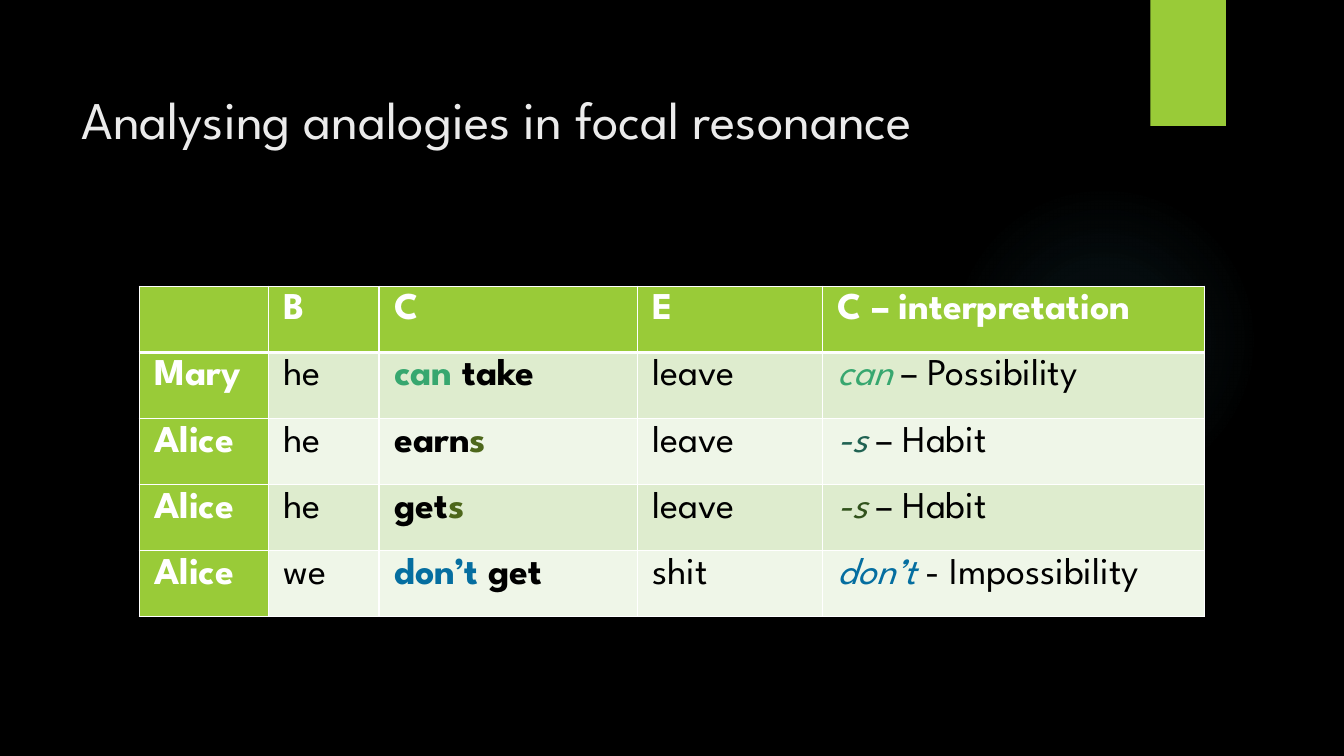
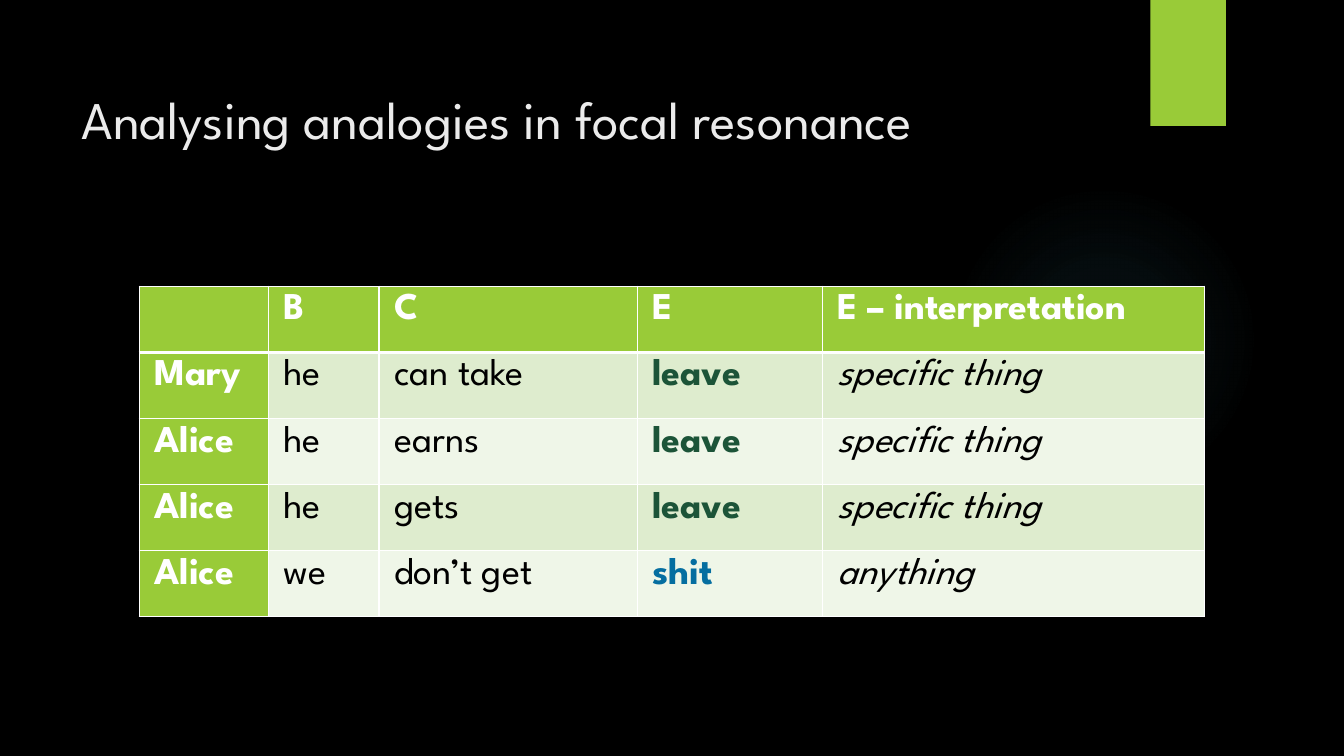
import lxml.etree
import pptx
import pptx.dml.color
import pptx.enum.shapes
import pptx.enum.text
import pptx.oxml
import pptx.oxml.ns
import pptx.util

Inches = pptx.util.Inches
FONT = "League Spartan"
COLORS = {
    "background": "000000",
    "title": "EBEBEB",
    "accent": "99CB38",
    "glow": "4EB3CF",
    "white": "FFFFFF",
    "black": "000000",
    "odd_row": "DEECCE",
    "even_row": "EFF6E8",
    "can": "37A76F",
    "verb_ending": "4D671B",
    "earns_habit": "206252",
    "gets_habit": "31521C",
    "negation": "056EA0",
    "leave": "1C5438",
}
TITLE = "Analysing analogies in focal resonance"
TITLE_BOX = (0.71, 0.69, 10.12, 1.11)
GLOW_BOX = (9.41, 1.83, 3.08, 3.08)
TAB_BOX = (11.41, 0, 0.75, 1.25)
TABLE_BOX = (1.38, 2.84, 10.57, 3.28)
COLUMN_WIDTHS = (1.28, 1.1, 2.56, 1.84, 3.79)
GLOW_STOPS = ((0, 7), (36, 6), (69, 0))
SPEAKERS = ("Mary", "Alice", "Alice", "Alice")
SUBJECTS = ("he", "he", "he", "we")


def bold(text, color="black"):
    """Describe a bold run."""
    return text, {"bold": True, "color": color}


def italic(text, color="black"):
    """Describe an italic run."""
    return text, {"italic": True, "color": color}


def plain(text):
    """Describe a regular run."""
    return text, {}


VERB_SLIDE = {
    "focus": "C",
    "verbs": (
        [bold("can", "can"), bold(" take")],
        [bold("earn"), bold("s", "verb_ending")],
        [bold("get"), bold("s", "verb_ending")],
        [bold("don’t", "negation"), bold(" get")],
    ),
    "objects": [[plain(word)] for word in ("leave", "leave", "leave", "shit")],
    "readings": (
        [italic("can", "can"), plain(" – Possibility")],
        [italic("-s ", "earns_habit"), plain("– Habit")],
        [italic("-s ", "gets_habit"), plain("– Habit")],
        [italic("don’t", "negation"), plain(" - Impossibility")],
    ),
}
OBJECT_SLIDE = {
    "focus": "E",
    "verbs": [[plain(verb)] for verb in ("can take", "earns", "gets", "don’t get")],
    "objects": [[bold("leave", "leave")]] * 3 + [[bold("shit", "negation")]],
    "readings": [[italic("specific thing")]] * 3 + [[italic("anything")]],
}


def rgb(name):
    """Look up a named colour."""
    return pptx.dml.color.RGBColor.from_string(COLORS[name])


def write(paragraph, text, size=27, color="black", bold=False, italic=False):
    """Add one formatted run to a paragraph."""
    run = paragraph.add_run()
    run.text = text
    font = run.font
    font.name, font.size = FONT, pptx.util.Pt(size)
    font.bold, font.italic = bold, italic
    font.color.rgb = rgb(color)


def add_plain_shape(slide, preset, box):
    """Add a shape without line or shadow."""
    shape = slide.shapes.add_shape(preset, *map(Inches, box))
    shape.shadow.inherit = False
    shape.line.fill.background()
    return shape


def add_glow(slide, box):
    """Add the faint round glow behind the content."""
    glow = add_plain_shape(slide, pptx.enum.shapes.MSO_SHAPE.OVAL, box)
    glow.fill.background()
    stops = "".join(
        f'<a:gs pos="{position * 1000}"><a:srgbClr val="{COLORS["glow"]}">'
        f'<a:alpha val="{opacity * 1000}"/></a:srgbClr></a:gs>'
        for position, opacity in GLOW_STOPS
    )
    gradient = pptx.oxml.parse_xml(
        f'<a:gradFill {pptx.oxml.ns.nsdecls("a")} rotWithShape="1"><a:gsLst>{stops}</a:gsLst>'
        '<a:path path="circle"><a:fillToRect l="50000" t="50000" r="50000" b="50000"/></a:path>'
        "</a:gradFill>"
    )
    properties = glow.element.spPr
    properties.replace(properties.find(pptx.oxml.ns.qn("a:noFill")), gradient)


def add_tab(slide, box):
    """Add the green tab at the top edge."""
    tab = add_plain_shape(slide, pptx.enum.shapes.MSO_SHAPE.RECTANGLE, box)
    tab.fill.solid()
    tab.fill.fore_color.rgb = rgb("accent")


def add_title(slide, box, text):
    """Add the slide title."""
    frame = slide.shapes.add_textbox(*map(Inches, box)).text_frame
    frame.word_wrap = True
    frame.vertical_anchor = pptx.enum.text.MSO_ANCHOR.MIDDLE
    frame.margin_bottom = Inches(0.2)
    write(frame.paragraphs[0], text, size=37.8, color="title")


def set_borders(cell, top, bottom):
    """Draw white borders, with top and bottom widths in points."""
    properties = cell._tc.get_or_add_tcPr()
    for side, width in (("L", 1), ("R", 1), ("T", top), ("B", bottom)):
        line = lxml.etree.SubElement(
            properties, pptx.oxml.ns.qn(f"a:ln{side}"), w=str(pptx.util.Pt(width))
        )
        fill = lxml.etree.SubElement(line, pptx.oxml.ns.qn("a:solidFill"))
        lxml.etree.SubElement(fill, pptx.oxml.ns.qn("a:srgbClr"), val=COLORS["white"])


def fill_cell(cell, runs, row, column):
    """Format one table cell and write its runs."""
    set_borders(cell, top=3 if row == 1 else 1, bottom=3 if row == 0 else 1)
    is_heading = row == 0 or column == 0
    cell.fill.solid()
    cell.fill.fore_color.rgb = rgb("accent" if is_heading else "odd_row" if row % 2 else "even_row")
    cell.margin_left = cell.margin_right = Inches(0.15)
    cell.margin_top = cell.margin_bottom = Inches(0.07)
    for text, style in runs:
        write(cell.text_frame.paragraphs[0], text, **style)


def add_analogy_table(slide, box, content):
    """Add the table that aligns the utterances."""
    headings = ("B", "C", "E", f"{content['focus']} – interpretation")
    rows = [[[]] + [[bold(heading, "white")] for heading in headings]]
    for speaker, subject, *rest in zip(
        SPEAKERS, SUBJECTS, content["verbs"], content["objects"], content["readings"]
    ):
        rows.append([[bold(speaker, "white")], [plain(subject)], *rest])
    table = slide.shapes.add_table(len(rows), len(COLUMN_WIDTHS), *map(Inches, box)).table
    for column, width in zip(table.columns, COLUMN_WIDTHS):
        column.width = Inches(width)
    for row_index, cells in enumerate(rows):
        table.rows[row_index].height = Inches(box[3] / len(rows))
        for column_index, runs in enumerate(cells):
            fill_cell(table.cell(row_index, column_index), runs, row_index, column_index)


def add_analogy_slide(presentation, content):
    """Add a slide with the shared design and its table."""
    slide = presentation.slides.add_slide(presentation.slide_layouts[6])
    slide.background.fill.solid()
    slide.background.fill.fore_color.rgb = rgb("background")
    add_glow(slide, GLOW_BOX)
    add_tab(slide, TAB_BOX)
    add_title(slide, TITLE_BOX, TITLE)
    add_analogy_table(slide, TABLE_BOX, content)


def main():
    """Build and save the presentation."""
    presentation = pptx.Presentation()
    presentation.slide_width, presentation.slide_height = Inches(13.33), Inches(7.5)
    for content in (VERB_SLIDE, OBJECT_SLIDE):
        add_analogy_slide(presentation, content)
    presentation.save("out.pptx")


if __name__ == "__main__":
    main()
